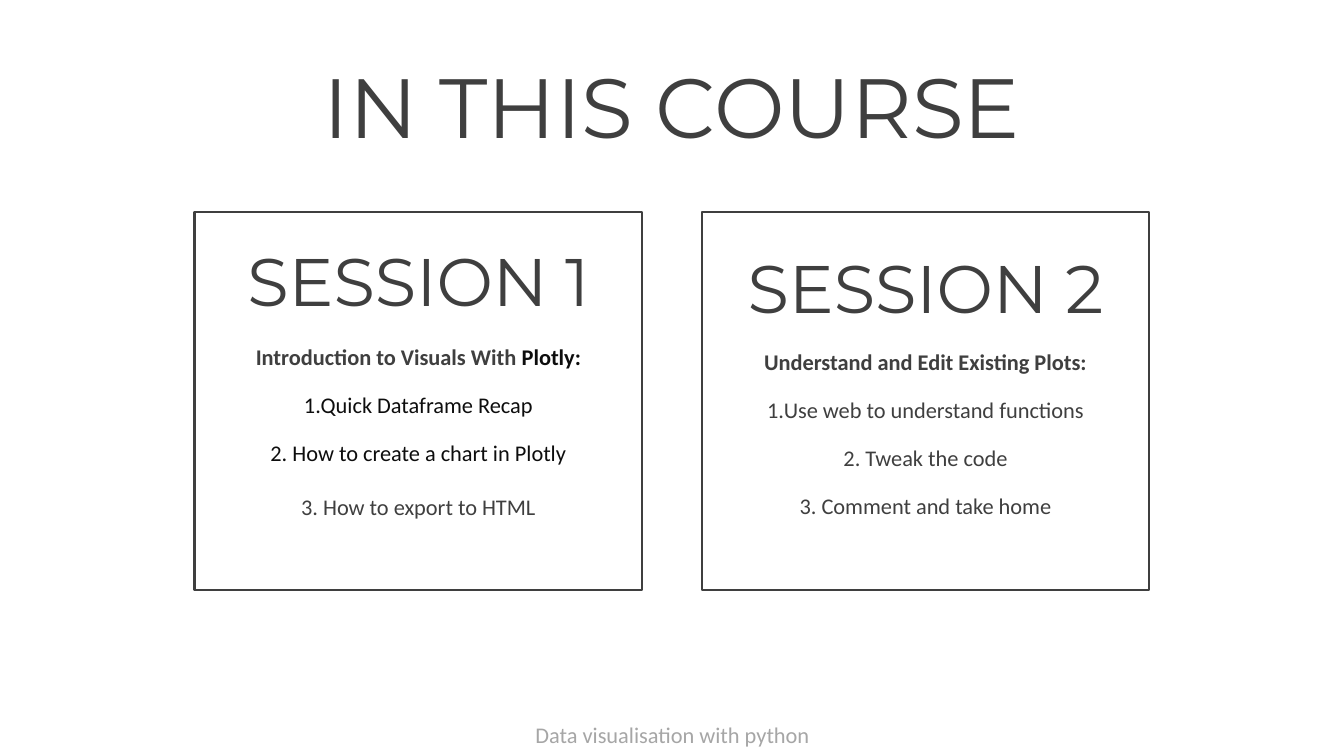
from pptx import Presentation
from pptx.dml.color import RGBColor
from pptx.enum.shapes import MSO_SHAPE as SHAPE
from pptx.enum.text import MSO_ANCHOR as ANCHOR, PP_ALIGN as ALIGN
from pptx.util import Inches, Pt

COLORS = {"dark": "3F3F3F", "ink": "0D0D0D", "grey": "A6A6A6", "white": "FFFFFF"}

TITLE = dict(name="Montserrat", size=60, color="dark")
HEADING = dict(name="Montserrat", size=48, color="dark")
FOOTER = dict(name="Calibri", size=16, color="grey")
BODY = dict(name="Calibri", size=16, color="dark", bold=False)
BODY_INK = {**BODY, "color": "ink"}
LEAD = {**BODY, "bold": True}
LEAD_INK = {**LEAD, "color": "ink"}

# Paragraph: (runs, space before in points, line spacing)
TITLE_LINES = [([("IN THIS COURSE", TITLE)], 0, 0.9)]
FOOTER_LINES = [([("Data visualisation with python", FOOTER)], 0, 0.9)]

# Session: (top inset in inches, paragraphs)
SESSIONS = [
    (0.36, [
        ([("SESSION 1", HEADING)], 0, 0.9),
        ([("Introduction to Visuals With ", LEAD), ("Plotly:", LEAD_INK)], 18, 0.9),
        ([("1.Quick Dataframe Recap", BODY_INK)], 17, 0.9),
        ([("2. How to create a chart in Plotly", BODY_INK)], 17, 0.9),
        ([("3. How to export to HTML", BODY)], 19.5, 1.0),
    ]),
    (0.43, [
        ([("SESSION 2", HEADING)], 0, 0.9),
        ([("Understand and Edit Existing Plots:", LEAD)], 17, 0.9),
        ([("1.Use web to understand functions", BODY)], 17, 0.9),
        ([("2. Tweak the code", BODY)], 17, 0.9),
        ([("3. Comment and take home", BODY)], 17, 0.9),
    ]),
]

CARD_LEFT, CARD_TOP, CARD_W, CARD_H = 1.93, 2.1, 4.44, 3.75
CARD_STEP = 5.03


def rgb(name):
    return RGBColor.from_string(COLORS[name])


def write(tf, lines, anchor):
    tf.word_wrap = True
    tf.vertical_anchor = anchor
    for i, (runs, before, spacing) in enumerate(lines):
        p = tf.paragraphs[0] if i == 0 else tf.add_paragraph()
        layout = dict(alignment=ALIGN.CENTER, space_before=Pt(before),
                      line_spacing=spacing)
        for key, value in layout.items():
            setattr(p, key, value)
        for text, style in runs:
            r = p.add_run()
            r.text = text
            for key, value in style.items():
                if key == "color":
                    r.font.color.rgb = rgb(value)
                else:
                    setattr(r.font, key, Pt(value) if key == "size" else value)


def add_text(slide, box, lines, anchor):
    sp = slide.shapes.add_textbox(*map(Inches, box))
    write(sp.text_frame, lines, anchor)


def add_card(slide, left, inset, lines):
    box = (left, CARD_TOP, CARD_W, CARD_H)
    sp = slide.shapes.add_shape(SHAPE.RECTANGLE, *map(Inches, box))
    sp.shadow.inherit = False
    sp.fill.solid()
    sp.fill.fore_color.rgb = rgb("white")
    sp.line.color.rgb = rgb("dark")
    sp.line.width = Pt(1.5)
    sp.text_frame.margin_top = Inches(inset)
    write(sp.text_frame, lines, ANCHOR.TOP)


def main():
    prs = Presentation()
    prs.slide_width, prs.slide_height = Inches(13.33), Inches(7.5)
    slide = prs.slides.add_slide(prs.slide_layouts[6])
    add_text(slide, (0, 0.5, 13.33, 1.1), TITLE_LINES, ANCHOR.BOTTOM)
    add_text(slide, (1.67, 7.14, 10, 0.36), FOOTER_LINES, ANCHOR.TOP)
    for i, (inset, lines) in enumerate(SESSIONS):
        add_card(slide, CARD_LEFT + i * CARD_STEP, inset, lines)
    prs.save("out.pptx")


if __name__ == "__main__":
    main()
